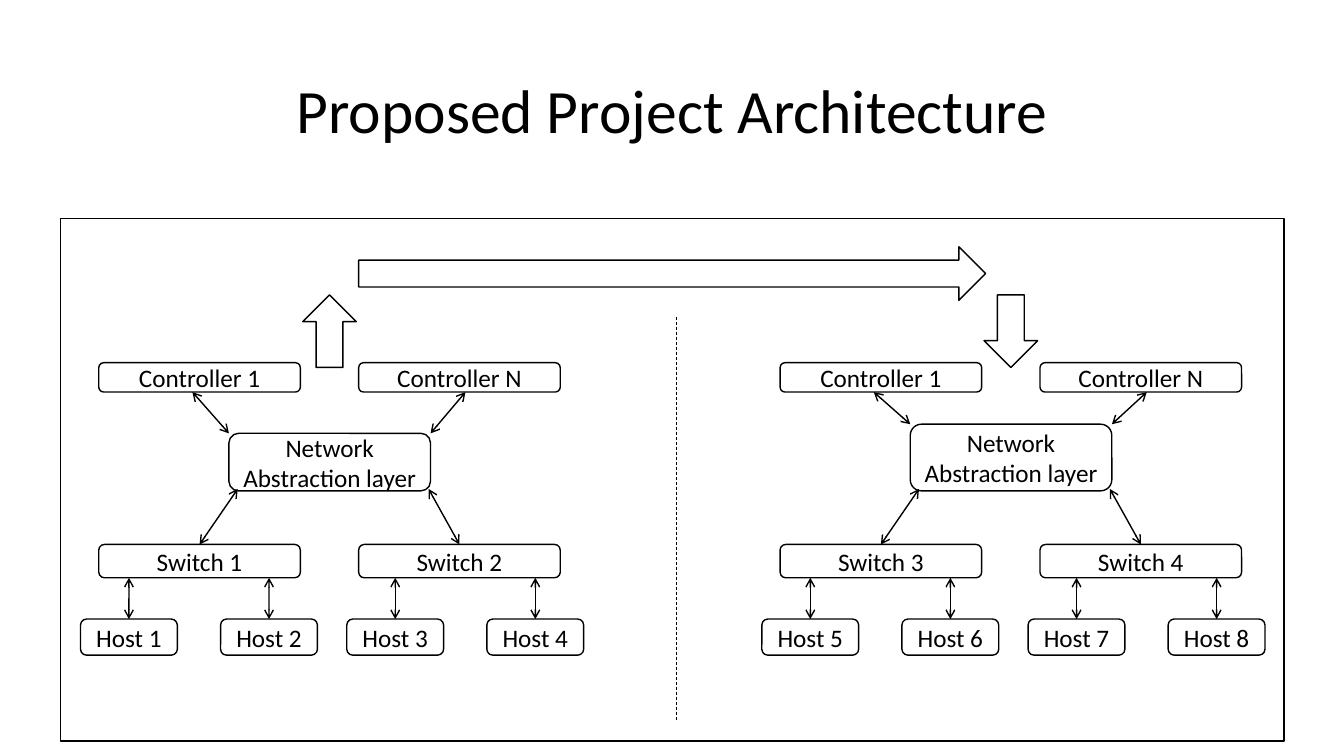
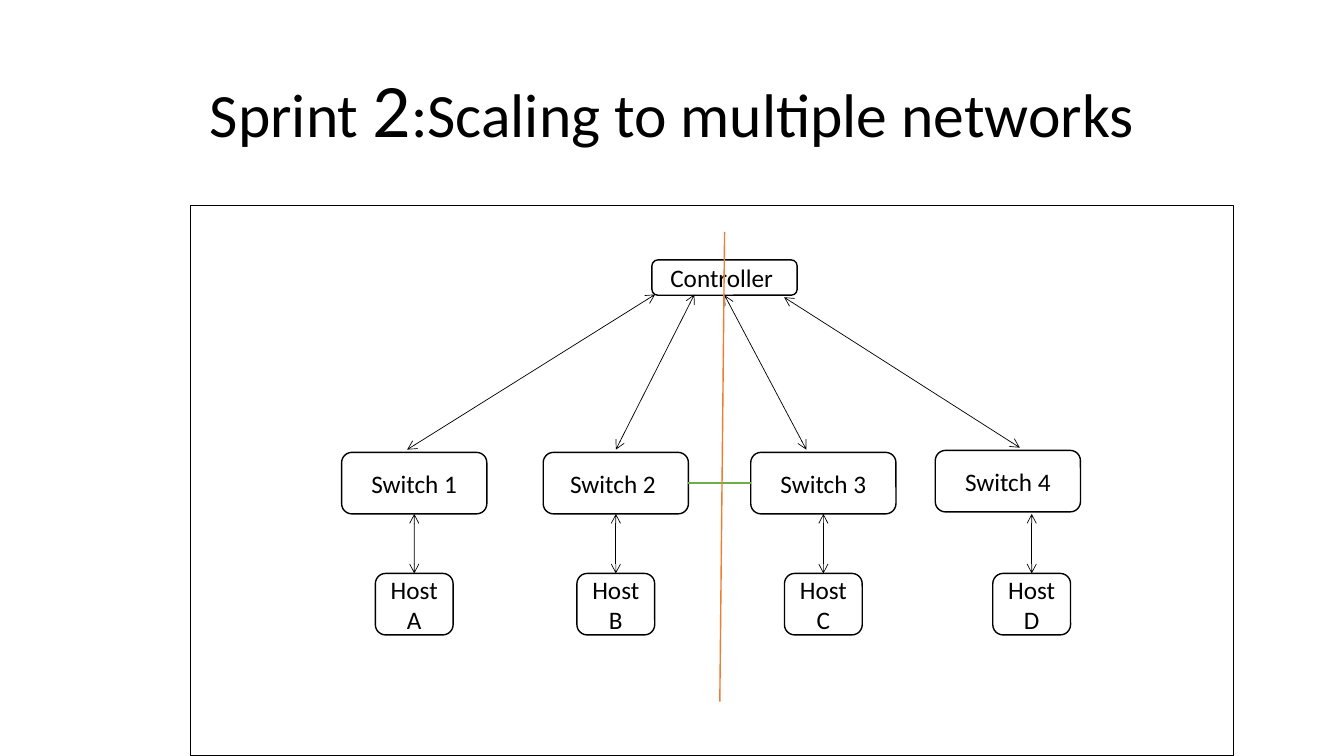
from pptx import Presentation
from pptx.dml.color import RGBColor
from pptx.enum.dml import MSO_LINE
from pptx.enum.shapes import MSO_CONNECTOR, MSO_SHAPE
from pptx.enum.text import MSO_ANCHOR, MSO_AUTO_SIZE, PP_ALIGN
from pptx.oxml.ns import qn
from pptx.util import Cm, Pt

COLORS = {"ink": "000000", "paper": "FFFFFF", "green": "70AD47", "orange": "ED7D31"}
FONT = "Calibri"
RECTANGLE = MSO_SHAPE.RECTANGLE
ROUNDED = MSO_SHAPE.ROUNDED_RECTANGLE
STRAIGHT = MSO_CONNECTOR.STRAIGHT
CENTER = PP_ALIGN.CENTER
MIDDLE = MSO_ANCHOR.MIDDLE
TOP, LEFT, BOTTOM, RIGHT = range(4)


def add_box(slide, left, top, width, height, text="", kind=ROUNDED):
    """Add a white, black-edged shape; each line of text is a paragraph."""
    box = slide.shapes.add_shape(kind, Cm(left), Cm(top), Cm(width), Cm(height))
    box.shadow.inherit = False
    box.fill.solid()
    box.fill.fore_color.rgb = RGBColor.from_string(COLORS["paper"])
    box.line.color.rgb = RGBColor.from_string(COLORS["ink"])
    box.line.width = Pt(1)
    if text:
        frame = box.text_frame
        frame.word_wrap = True
        frame.vertical_anchor = MIDDLE
        for number, line in enumerate(text.split("\n")):
            para = frame.add_paragraph() if number else frame.paragraphs[0]
            para.alignment = CENTER
            span = para.add_run()
            span.text = line
            span.font.name = FONT
            span.font.size = Pt(18)
            span.font.color.rgb = RGBColor.from_string(COLORS["ink"])
    return box


def add_line(slide, start, end, weight, color="ink", arrows=True, dash=None):
    """Add a straight line; arrows puts an open head on both ends."""
    line = slide.shapes.add_connector(
        STRAIGHT, Cm(start[0]), Cm(start[1]), Cm(end[0]), Cm(end[1]))
    line.line.color.rgb = RGBColor.from_string(COLORS[color])
    line.line.width = Pt(weight)
    if dash is not None:
        line.line.dash_style = dash
    properties = line.element.spPr
    if arrows:
        outline = properties.find(qn("a:ln"))
        for tag in ("a:headEnd", "a:tailEnd"):
            head = outline.makeelement(qn(tag), {"type": "arrow"})
            outline.append(head)
    properties.append(properties.makeelement(qn("a:effectLst"), {}))
    return line


deck = Presentation()
deck.slide_width = Cm(33.87)
deck.slide_height = Cm(19.05)

# Titles and diagram frames
pages = []
for title_runs, frame_area in (
    ([("Proposed Project Architecture", 44)], (1.52, 5.51, 30.84, 13.16)),
    ([("Sprint ", 44), ("2", 54), (":Scaling to multiple networks", 44)],
     (4.8, 5.18, 26.29, 13.87)),
):
    page = deck.slides.add_slide(deck.slide_layouts[5])
    title = page.shapes.title
    title.left, title.top, title.width, title.height = Cm(2.34), Cm(1.02), Cm(29.21), Cm(3.68)
    title.text_frame.auto_size = MSO_AUTO_SIZE.NONE
    title.text_frame.vertical_anchor = MIDDLE
    para = title.text_frame.paragraphs[0]
    para.alignment = CENTER
    para.line_spacing = 0.9
    for text, size in title_runs:
        span = para.add_run()
        span.text = text
        span.font.name = FONT
        span.font.size = Pt(size)
        span.font.color.rgb = RGBColor.from_string(COLORS["ink"])
    add_box(page, *frame_area, kind=RECTANGLE)
    pages.append(page)
architecture, scaling = pages

# Architecture: two networks of the same make-up, side by side
LAYER_BOTTOM = 12.37
for network, layer_top in enumerate((10.92, 10.69)):
    shift = 17.17 * network
    add_box(architecture, 5.77 + shift, layer_top, 5.08, LAYER_BOTTOM - layer_top,
            "Network Abstraction layer")
    for column, controller_name in enumerate(("Controller 1", "Controller N")):
        left = 2.49 + 6.55 * column + shift
        switch_number = 2 * network + column + 1
        add_box(architecture, left, 9.14, 5.08, 0.74, controller_name)
        switch = add_box(architecture, left, 13.72, 5.08, 0.84, f"Switch {switch_number}")

        controller_x, layer_x, layer_foot_x = ((4.85, 5.77, 5.99), (11.73, 10.85, 10.8))[column]
        add_line(architecture, (controller_x + shift, 9.88), (layer_x + shift, layer_top), 1)
        link = add_line(architecture, (layer_foot_x + shift, 12.32), (left + 2.54, 13.72), 1)
        link.end_connect(switch, TOP)

        for side in range(2):
            host_left = 2.03 + 6.71 * column + 3.53 * side + shift
            host = add_box(architecture, host_left, 15.6, 2.44, 0.91,
                           f"Host {2 * switch_number - 1 + side}")
            host_middle = host_left + 1.22
            link = add_line(architecture, (host_middle, 14.56), (host_middle, 15.6), 1)
            link.end_connect(host, TOP)

add_box(architecture, 7.63, 7.43, 1.35, 1.83, kind=MSO_SHAPE.UP_ARROW)
add_box(architecture, 9.04, 6.22, 15.8, 1.35, kind=MSO_SHAPE.RIGHT_ARROW)
add_box(architecture, 24.8, 7.43, 1.35, 1.83, kind=MSO_SHAPE.DOWN_ARROW)
add_line(architecture, (17.04, 7.98), (17.04, 18.14), 0.5, arrows=False, dash=MSO_LINE.DASH)

# Scaling: one controller over four switches, each with its host
controller = add_box(scaling, 16.43, 6.55, 3.66, 0.89, "Controller ")
switches = []
for name, switch_middle, switch_top, host_name, host_middle in (
    ("Switch 1", 10.44, 11.4, "A", 10.44),
    ("Switch 2 ", 15.52, 11.4, "B", 15.52),
    ("Switch 3", 20.75, 11.4, "C", 20.75),
    ("Switch 4", 25.4, 11.35, "D", 26),
):
    switch = add_box(scaling, switch_middle - 1.83, switch_top, 3.66, 1.55, name)
    host = add_box(scaling, host_middle - 0.98, 14.45, 1.96, 1.55, f"Host\n{host_name}")
    link = add_line(scaling, (host_middle, 12.95), (host_middle, 14.45), 0.5)
    link.end_connect(host, TOP)
    if host_middle == switch_middle:
        link.begin_connect(switch, BOTTOM)
    switches.append(switch)

for start, end in (
    ((16.51, 7.42), (10.26, 11.33)),
    ((17.5, 7.42), (15.52, 11.33)),
    ((18.26, 7.44), (20.32, 11.33)),
    ((19.76, 7.49), (25.7, 11.28)),
):
    link = add_line(scaling, start, end, 0.5)
    if start[0] == 18.26:
        link.begin_connect(controller, BOTTOM)

bridge = add_line(scaling, (17.35, 12.17), (18.92, 12.17), 1.5, "green", arrows=False)
bridge.begin_connect(switches[1], RIGHT)
bridge.end_connect(switches[2], LEFT)
add_line(scaling, (18.26, 5.84), (18.14, 17.68), 1, "orange", arrows=False)

deck.save("out.pptx")
